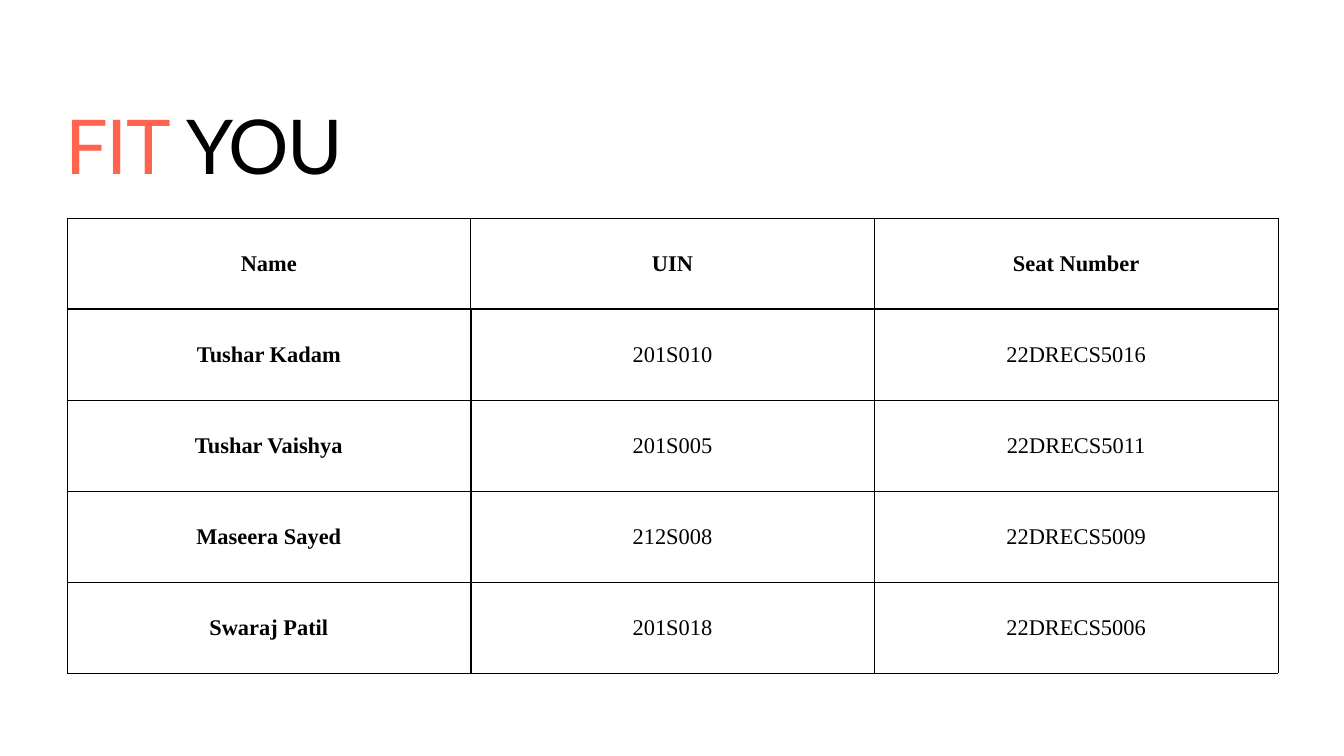
"""Build the team slide: a two-colour title above a table of members."""
from dataclasses import dataclass

import pptx
import pptx.dml.color
import pptx.enum.text
import pptx.oxml
import pptx.oxml.ns
import pptx.util

TITLE = [("FIT ", "accent"), ("YOU", "ink")]
HEADER = ("Name", "UIN", "Seat Number")
MEMBERS = [
    ("Tushar Kadam", "201S010", "22DRECS5016"),
    ("Tushar Vaishya", "201S005", "22DRECS5011"),
    ("Maseera Sayed", "212S008", "22DRECS5009"),
    ("Swaraj Patil", "201S018", "22DRECS5006"),
]

PX = 914400 / 50.4
SLIDE = (1344, 756)
TITLE_BOX = (-21, 39, 451, 228)
TABLE_BOX = (67, 218, 1211, 455)
INSET = 3


@dataclass(frozen=True)
class Theme:
    ink: str = "000000"
    accent: str = "FF644E"
    title_font: str = "Lato"
    table_font: str = "Times New Roman"
    title_size: int = 108
    title_spacing: int = -250
    table_size: int = 32
    thin: int = 1
    thick: int = 3


THEME = Theme()


def px(n):
    return pptx.util.Emu(round(n * PX))


def rgb(name):
    return pptx.dml.color.RGBColor.from_string(getattr(THEME, name))


def set_insets(target):
    target.margin_left = target.margin_right = px(INSET)
    target.margin_top = target.margin_bottom = px(INSET)
    target.vertical_anchor = pptx.enum.text.MSO_ANCHOR.MIDDLE


def set_borders(cell, widths):
    tc_pr = cell._tc.get_or_add_tcPr()
    for side, width in widths.items():
        tc_pr.append(pptx.oxml.parse_xml(
            f'<a:ln{side} {pptx.oxml.ns.nsdecls("a")} w="{pptx.util.Pt(width)}">'
            f'<a:solidFill><a:srgbClr val="{THEME.ink}"/></a:solidFill></a:ln{side}>'
        ))


def add_title(slide):
    tf = slide.shapes.add_textbox(*map(px, TITLE_BOX)).text_frame
    tf.word_wrap = True
    set_insets(tf)
    p = tf.paragraphs[0]
    p.alignment = pptx.enum.text.PP_ALIGN.CENTER
    p.line_spacing = 0.8
    p.font.name = THEME.title_font
    p.font.size = pptx.util.Pt(THEME.title_size)
    for text, colour in TITLE:
        r = p.add_run()
        r.text = text
        r.font.color.rgb = rgb(colour)
        r.font._element.set("spc", str(THEME.title_spacing))


def fill_cell(cell, text, is_header, is_name):
    set_insets(cell)
    set_borders(cell, {
        "L": THEME.thin,
        "R": THEME.thick if is_name and not is_header else THEME.thin,
        "T": THEME.thin,
        "B": THEME.thick if is_header else THEME.thin,
    })
    cell.fill.background()
    cell.text = text
    p = cell.text_frame.paragraphs[0]
    p.alignment = pptx.enum.text.PP_ALIGN.CENTER
    p.font.name = THEME.table_font
    p.font.size = pptx.util.Pt(THEME.table_size)
    p.font.bold = is_header or is_name
    p.font.color.rgb = rgb("ink")


def add_members(slide):
    rows = [HEADER, *MEMBERS]
    table = slide.shapes.add_table(len(rows), len(HEADER), *map(px, TABLE_BOX)).table
    table.first_row = table.horz_banding = False
    for column in table.columns:
        column.width = px(TABLE_BOX[2] / len(HEADER))
    for row in table.rows:
        row.height = px(TABLE_BOX[3] / len(rows))
    for i, values in enumerate(rows):
        for j, text in enumerate(values):
            fill_cell(table.cell(i, j), text, i == 0, j == 0)


def main():
    prs = pptx.Presentation()
    prs.slide_width, prs.slide_height = map(px, SLIDE)
    slide = prs.slides.add_slide(prs.slide_layouts[6])
    add_title(slide)
    add_members(slide)
    prs.save("out.pptx")


if __name__ == "__main__":
    main()
